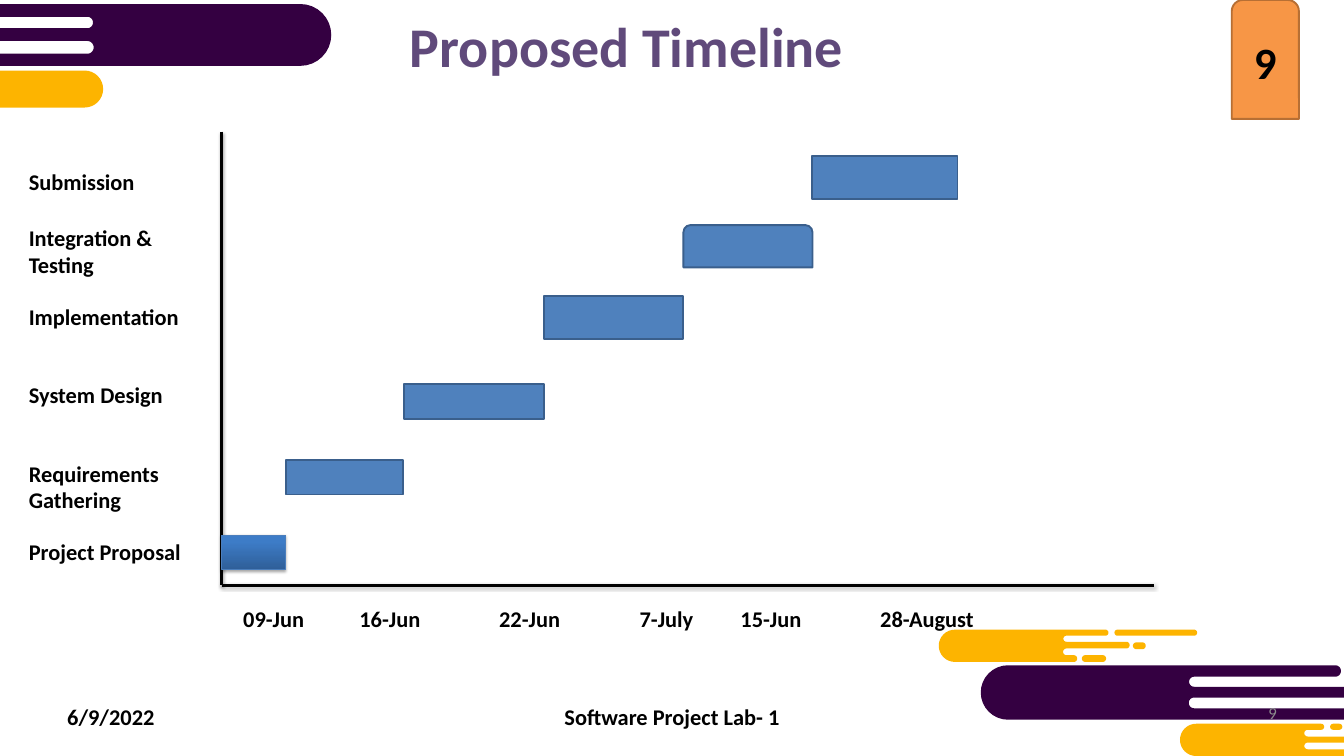
"""Build the proposed timeline slide as a Gantt chart made of shapes."""
import math
import lxml.etree
import pptx
import pptx.dml.color
import pptx.enum.shapes
import pptx.enum.text
import pptx.oxml.ns
import pptx.util

PX = 9144
HUES = {
    "plum": "340041", "gold": "FDB400", "title": "604A7B", "ink": "000000",
    "grey": "8C8C8C", "bar": "4F81BD", "edge": "3A5F8C", "rim": "4B7EBC",
    "deep": "2F5F99", "light": "3D7CC7", "tab": "F79646", "trim": "B76F34",
}
RGB = {name: pptx.dml.color.RGBColor.from_string(hue) for name, hue in HUES.items()}
ALIGN = pptx.enum.text.PP_ALIGN
ANCHOR = pptx.enum.text.MSO_ANCHOR
FORM = pptx.enum.shapes.MSO_SHAPE
qn = pptx.oxml.ns.qn


def write(shape, text, size, hue="ink", align=ALIGN.LEFT, bold=True, anchor=ANCHOR.TOP):
    frame = shape.text_frame
    frame.word_wrap = True
    frame.auto_size = pptx.enum.text.MSO_AUTO_SIZE.NONE
    frame.vertical_anchor = anchor
    para = frame.paragraphs[0]
    para.alignment = align
    run = para.add_run()
    run.text = text
    run.font.name = "Calibri"
    run.font.size = pptx.util.Pt(size)
    run.font.bold = bold
    run.font.color.rgb = RGB[hue]
    return frame


def shade(shape):
    group = lxml.etree.SubElement(shape._element.spPr, qn("a:effectLst"))
    cast = lxml.etree.SubElement(group, qn("a:outerShdw"), blurRad="39370",
                                 dist="22860", dir="5400000", rotWithShape="0")
    tone = lxml.etree.SubElement(cast, qn("a:srgbClr"), val=HUES["ink"])
    lxml.etree.SubElement(tone, qn("a:alpha"), val="35000")


deck = pptx.Presentation()
deck.slide_width = 2000 * PX
deck.slide_height = 1125 * PX
slide = deck.slides.add_slide(deck.slide_layouts[5])
shapes = slide.shapes

title = shapes.title
title.left, title.top, title.width, title.height = [n * PX for n in (600, 12, 933, 111)]
write(title, "Proposed Timeline", 60, "title")

# Each edge is x, start y, end y and bulge: -1 left, 0 flat, 1 right.
ART = [
    ("plum", [[(1500, 1071, 990, -1), (1987, 990, 1007, 1), (1777, 1007, 1022, -1),
               (2000, 1022, 1038, 0), (1777, 1038, 1054, -1), (2000, 1054, 1071, 0)]]),
    ("gold", [[(1780, 1125, 1077, -1), (1966, 1077, 1086, 1), (1946, 1086, 1096, -1),
               (2000, 1096, 1105, 0), (1946, 1105, 1115, -1), (2000, 1115, 1125, 0)],
              [(1984, 1086, 1077, -1), (1993, 1077, 1086, 1)]]),
    ("gold", [[(1421, 985, 937, -1), (1645, 937, 946, 1), (1587, 946, 955, -1),
               (1676, 955, 965, 1), (1587, 965, 975, -1), (1598, 975, 985, 1)],
              [(1663, 946, 937, -1), (1777, 937, 946, 1)],
              [(1691, 966, 956, -1), (1700, 956, 966, 1)],
              [(1615, 985, 975, -1), (1641, 975, 985, 1)]]),
    ("plum", [[(447, 98, 6, 1), (0, 6, 25, 0), (130, 25, 42, 1),
               (0, 42, 61, 0), (130, 61, 80, 1), (0, 80, 98, 0)]]),
    ("gold", [[(126, 160, 105, 1), (0, 105, 160, 0)]]),
]
for hue, loops in ART:
    pen = None
    for loop in loops:
        dots = []
        for x, start, end, side in loop:
            mid, half = (start + end) / 2, (start - end) / 2
            for step in range(17):
                turn = math.pi * step / 16
                dots.append((round((x + side * abs(half) * math.sin(turn)) * PX),
                             round((mid + half * math.cos(turn)) * PX)))
        if pen is None:
            pen = shapes.build_freeform(*dots[0])
        else:
            pen.move_to(*dots[0])
        pen.add_line_segments(dots[1:], close=True)
    blob = pen.convert_to_shape()
    blob.shadow.inherit = False
    blob.fill.solid()
    blob.fill.fore_color.rgb = RGB[hue]
    blob.line.fill.background()

FOOT = [
    (100, 460, "6/9/2022", 24, "ink", ALIGN.LEFT, True),
    (680, 640, "Software Project Lab- 1", 24, "ink", ALIGN.CENTER, True),
    (1440, 460, "9", 18, "grey", ALIGN.RIGHT, False),
]
for x, wide, text, size, hue, align, bold in FOOT:
    box = shapes.add_textbox(x * PX, 1046 * PX, wide * PX, 40 * PX)
    frame = write(box, text, size, hue, align, bold)
    frame.margin_left = frame.margin_top = frame.margin_right = frame.margin_bottom = 0

for ends in [(330, 196, 330, 871), (330, 871, 1717, 871)]:
    axis = shapes.add_connector(pptx.enum.shapes.MSO_CONNECTOR.STRAIGHT,
                                *[n * PX for n in ends])
    axis.line.color.rgb = RGB["ink"]
    axis.line.width = pptx.util.Pt(3)
    shade(axis)

TASKS = [
    ("Project Proposal", 796, 50), ("Requirements Gathering", 679, 91),
    ("System Design", 562, 50), ("Implementation", 446, 50),
    ("Integration & Testing", 329, 91), ("Submission", 246, 50),
]
for text, y, tall in TASKS:
    write(shapes.add_textbox(33 * PX, y * PX, 275 * PX, tall * PX), text, 24)

DATES = [
    ("09-Jun", 352, 248), ("16-Jun", 525, 283), ("22-Jun", 733, 233),
    ("7-July", 942, 400), ("15-Jun", 1092, 158), ("28-August", 1300, 192),
]
for text, x, wide in DATES:
    write(shapes.add_textbox(x * PX, 896 * PX, wide * PX, 50 * PX), text, 24)

ROUND = FORM.ROUND_2_SAME_RECTANGLE
BARS = [
    (FORM.RECTANGLE, 330, 796, 95, 51, "bar", "rim"),
    (FORM.RECTANGLE, 425, 685, 175, 51, "bar", "edge"),
    (FORM.RECTANGLE, 601, 572, 208, 51, "bar", "edge"),
    (FORM.RECTANGLE, 809, 441, 208, 63, "bar", "edge"),
    (ROUND, 1017, 335, 192, 63, "bar", "edge"),
    (FORM.RECTANGLE, 1208, 232, 217, 64, "bar", "edge"),
    (ROUND, 1833, 0, 100, 177, "tab", "trim"),
]
for form, x, y, wide, tall, hue, edge in BARS:
    bar = shapes.add_shape(form, x * PX, y * PX, wide * PX, tall * PX)
    bar.line.color.rgb = RGB[edge]
    if edge == "rim":
        bar.line.width = pptx.util.Pt(0.75)
        bar.fill.gradient()
        bar.fill.gradient_angle = 90
        low, high = bar.fill.gradient_stops
        low.color.rgb, low.position = RGB["deep"], 0
        high.color.rgb, high.position = RGB["light"], 0.8
        shade(bar)
    else:
        bar.line.width = pptx.util.Pt(2)
        bar.fill.solid()
        bar.fill.fore_color.rgb = RGB[hue]
        bar.shadow.inherit = False
    if hue == "tab":
        write(bar, "9", 48, align=ALIGN.CENTER, anchor=ANCHOR.MIDDLE)

deck.save("out.pptx")
